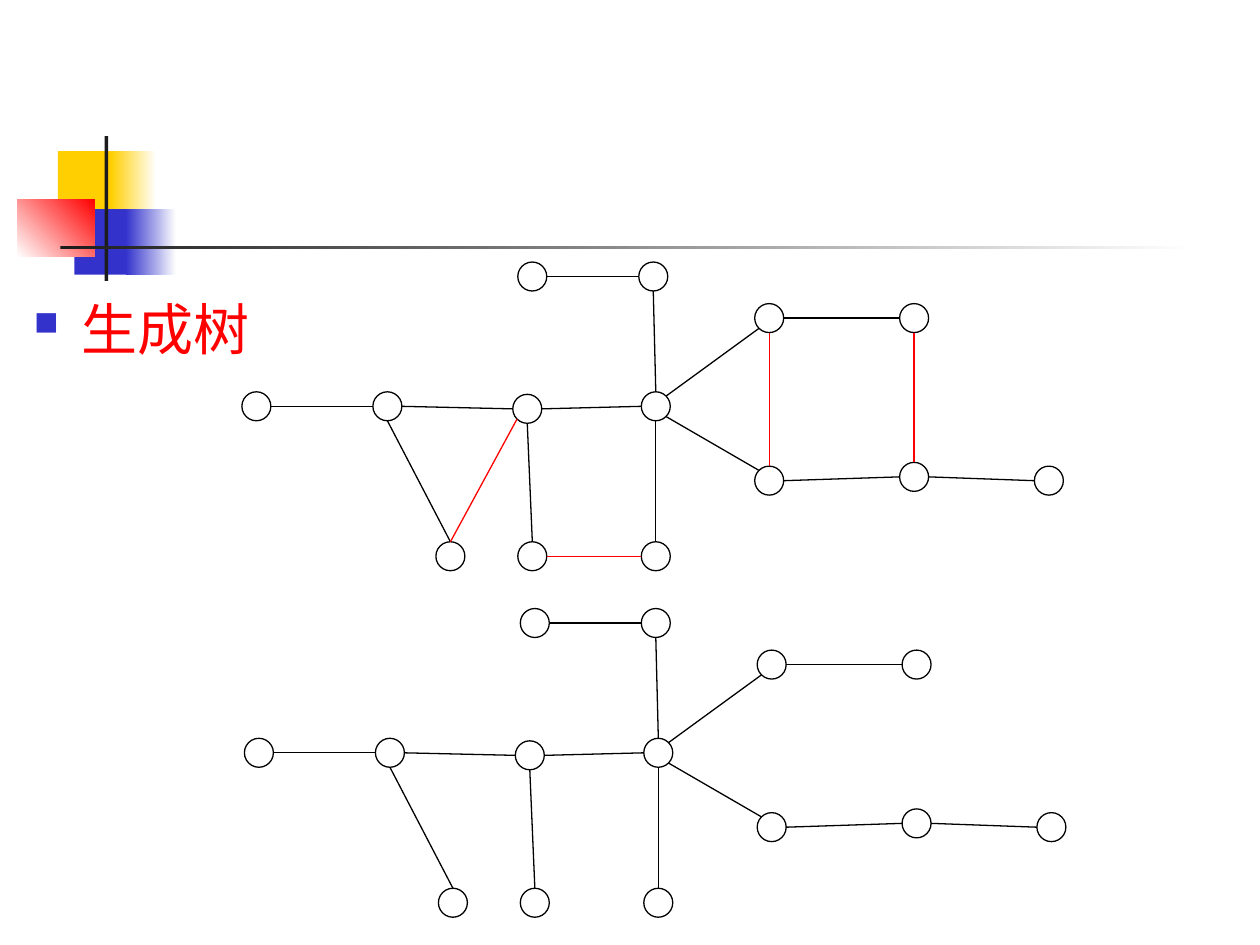
from lxml import etree
from pptx import Presentation
from pptx.dml.color import RGBColor
from pptx.enum.shapes import MSO_CONNECTOR, MSO_SHAPE
from pptx.enum.text import MSO_ANCHOR
from pptx.oxml.ns import qn
from pptx.util import Inches, Pt

RECTANGLE = MSO_SHAPE.RECTANGLE
OVAL = MSO_SHAPE.OVAL
STRAIGHT = MSO_CONNECTOR.STRAIGHT
TOP = MSO_ANCHOR.TOP

COLORS = {
    "yellow": "FFCF01", "blue": "3333CC", "red": "FF0000",
    "dark": "1C1C1C", "white": "FFFFFF", "black": "000000",
}
RGB = {name: RGBColor.from_string(code) for name, code in COLORS.items()}

prs = Presentation()
prs.slide_width, prs.slide_height = Inches(10), Inches(7.5)
slide = prs.slides.add_slide(prs.slide_layouts[6])

# Corner ornament and rule: left, top, width, height, colours, gradient angle
ornament = [
    (0.46, 1.2, 0.48, 0.52, ["yellow"], 0),
    (0.88, 1.2, 0.36, 0.52, ["yellow", "white"], 0),
    (0.59, 1.66, 0.46, 0.52, ["blue"], 0),
    (1, 1.66, 0.4, 0.52, ["blue", "white"], 0),
    (0.14, 1.58, 0.61, 0.46, ["white", "red"], 45),
    (0.83, 1.08, 0.03, 1.15, ["dark"], 0),
    (0.48, 1.95, 9, 0.03, ["dark", "white"], 0),
]
for left, top, width, height, colors, angle in ornament:
    block = slide.shapes.add_shape(
        RECTANGLE, Inches(left), Inches(top), Inches(width), Inches(height))
    block.shadow.inherit = False
    block.line.fill.background()
    if len(colors) == 1:
        block.fill.solid()
        block.fill.fore_color.rgb = RGB[colors[0]]
    else:
        block.fill.gradient()
        block.fill.gradient_angle = angle
        for stop, color in zip(block.fill.gradient_stops, colors):
            stop.color.rgb = RGB[color]

# Bulleted topic
topic = slide.shapes.add_textbox(
    Inches(0.17), Inches(2.02), Inches(9.72), Inches(5.36))
paragraph = topic.text_frame.paragraphs[0]
run = paragraph.add_run()
formats = [
    (topic.text_frame, {"word_wrap": True, "vertical_anchor": TOP}),
    (paragraph, {"line_spacing": 1.5, "space_before": Pt(8)}),
    (run, {"text": "生成树"}),
    (run.font, {"name": "Cabin", "size": Pt(32)}),
    (run.font.color, {"rgb": RGB["red"]}),
]
for target, values in formats:
    for attribute, value in values.items():
        setattr(target, attribute, value)

bullet = paragraph._p.get_or_add_pPr()
bullet.set("marL", str(Inches(0.38)))
bullet.set("indent", str(-Inches(0.38)))
bullet_color = etree.SubElement(bullet, qn("a:buClr"))
etree.SubElement(bullet_color, qn("a:srgbClr"), val=COLORS["blue"])
etree.SubElement(bullet, qn("a:buSzPct"), val="60000")
etree.SubElement(bullet, qn("a:buChar"), char="■")

# Graph vertices: left and top of each circle
DIAMETER = 0.23
vertices = {
    "mid": (4.07, 3.13), "top_right": (5.07, 2.08), "hub": (5.09, 3.11),
    "top_left": (4.11, 2.08), "inner": (2.96, 3.11), "outer": (1.92, 3.11),
    "low_east": (7.14, 3.67), "high_west": (5.99, 2.41),
    "high_east": (7.14, 2.41), "far_east": (8.21, 3.7),
    "base_right": (5.09, 4.3), "base_mid": (4.11, 4.3),
    "base_left": (3.46, 4.3), "low_west": (5.99, 3.7),
}

# Edges: vertex and compass side at each end
tree_edges = [
    ("top_left", "E", "top_right", "W"), ("top_right", "S", "hub", "N"),
    ("hub", "S", "base_right", "N"), ("hub", "W", "mid", "E"),
    ("mid", "S", "base_mid", "N"), ("inner", "S", "base_left", "N"),
    ("inner", "W", "outer", "E"), ("hub", "NE", "high_west", "SW"),
    ("hub", "SE", "low_west", "NW"), ("high_west", "E", "high_east", "W"),
    ("low_west", "E", "low_east", "W"), ("low_east", "E", "far_east", "W"),
    ("inner", "E", "mid", "W"),
]
extra_edges = [
    ("base_mid", "E", "base_right", "W"), ("mid", "SW", "base_left", "N"),
    ("high_west", "S", "low_west", "N"), ("high_east", "S", "low_east", "N"),
]


def rim_point(vertex, side, dx, dy):
    """Point on a vertex's circle in the given compass direction."""
    reach = DIAMETER / 2 * (0.71 if len(side) == 2 else 1)
    x, y = vertices[vertex]
    east = ("E" in side) - ("W" in side)
    south = ("S" in side) - ("N" in side)
    return (Inches(x + dx + DIAMETER / 2 + reach * east),
            Inches(y + dy + DIAMETER / 2 + reach * south))


# Full graph above, its spanning tree below
graphs = [
    (0, 0, [("black", tree_edges), ("red", extra_edges)]),
    (0.02, 2.75, [("black", tree_edges)]),
]
for dx, dy, edge_sets in graphs:
    graph = slide.shapes.add_group_shape()
    for x, y in vertices.values():
        circle = graph.shapes.add_shape(
            OVAL, Inches(x + dx), Inches(y + dy),
            Inches(DIAMETER), Inches(DIAMETER))
        circle.shadow.inherit = False
        circle.fill.solid()
        circle.fill.fore_color.rgb = RGB["white"]
        circle.line.color.rgb = RGB["black"]
        circle.line.width = Pt(0.75)
    for color, edges in edge_sets:
        for start, start_side, end, end_side in edges:
            edge = graph.shapes.add_connector(
                STRAIGHT, *rim_point(start, start_side, dx, dy),
                *rim_point(end, end_side, dx, dy))
            edge.line.color.rgb = RGB[color]
            edge.line.width = Pt(0.75)
            etree.SubElement(edge._element.spPr, qn("a:effectLst"))

prs.save("out.pptx")
